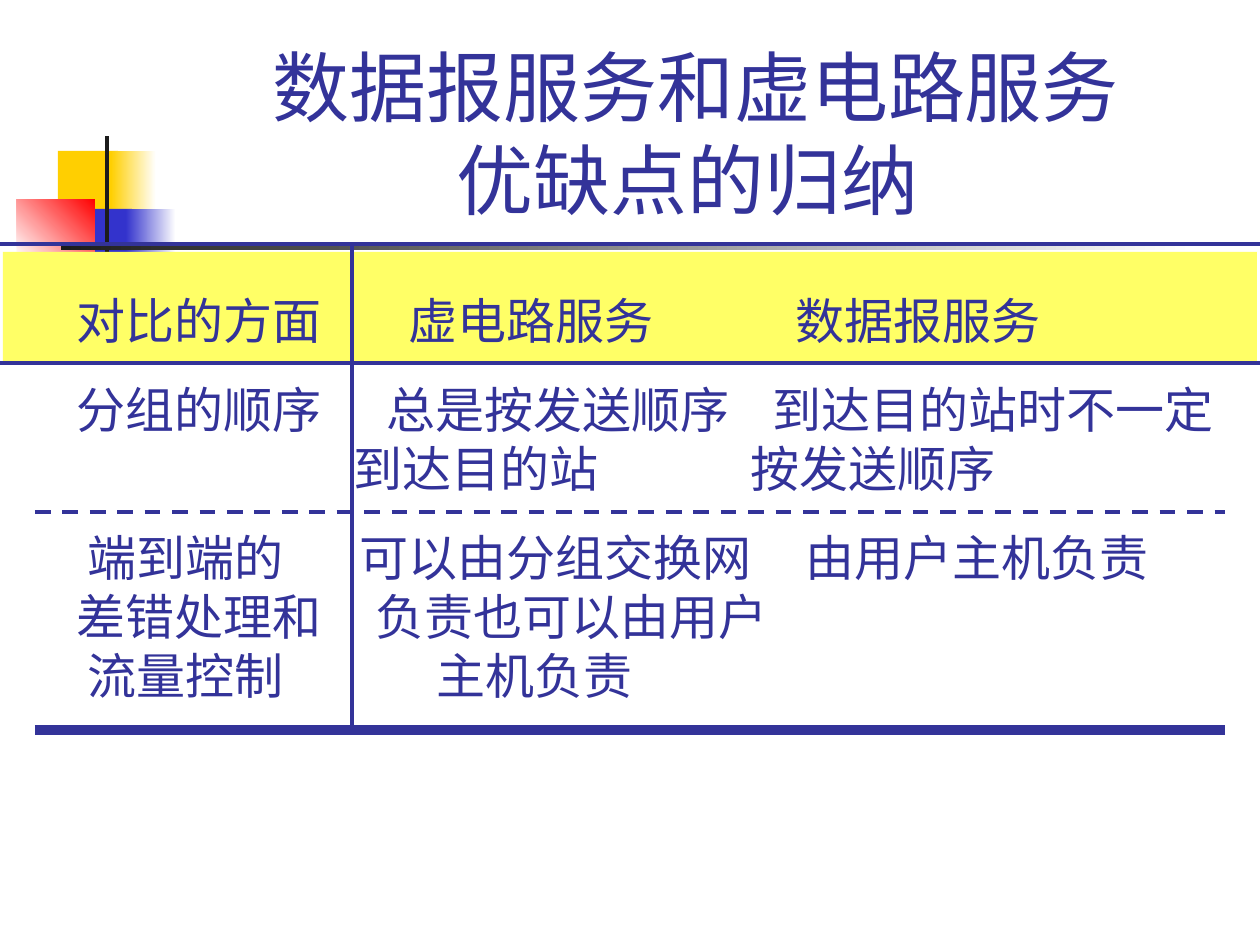
from dataclasses import dataclass

import pptx
import pptx.dml.color
import pptx.enum.dml
import pptx.enum.shapes
import pptx.enum.text
import pptx.oxml.ns
import pptx.util
from lxml import etree

PX = pptx.util.Inches(1) // 126
NAVY, YELLOW, WHITE = "333399", "FFFF66", "FFFFFF"
GOLD, BLUE, RED, BLACK = "FFCF01", "3333CC", "FF0000", "1C1C1C"
TEXT_LEFT = 77
DASH = pptx.enum.dml.MSO_LINE.DASH


@dataclass
class Block:
    left: int
    top: int
    width: int
    height: int
    colors: tuple[str, ...]  # one for a solid fill, two for a gradient
    angle: int = 0


@dataclass
class Rule:
    start: tuple[int, int]
    end: tuple[int, int]
    weight: float = 2.25
    dashed: bool = False


@dataclass
class Line:
    """One line of the comparison: its words and the px where each tab stops."""
    words: str
    stops: tuple[int, ...]
    spacing: float = 1.0
    after: float = 0


BLOCKS = [
    Block(58, 151, 60, 66, (GOLD,)),
    Block(111, 151, 45, 66, (GOLD, WHITE)),
    Block(74, 209, 58, 66, (BLUE,)),
    Block(126, 209, 50, 66, (BLUE, WHITE)),
    Block(17, 199, 78, 58, (WHITE, RED), 45),
    Block(105, 136, 4, 145, (BLACK,)),
    Block(61, 246, 1134, 4, (BLACK, WHITE)),
    Block(3, 252, 1254, 111, (YELLOW,)),
]
RULES = [
    Rule((0, 363), (1260, 363)),
    Rule((0, 244), (1260, 244)),
    Rule((352, 730), (352, 244)),
    Rule((35, 730), (1225, 730), weight=6),
    Rule((35, 512), (1225, 512), dashed=True),
]
LINES = [
    Line("对比的方面\t虚电路服务\t数据报服务", (409, 796), spacing=1.5, after=7),
    Line("分组的顺序\t总是按发送顺序\t到达目的站时不一定", (387, 773), spacing=1.3),
    Line("\t到达目的站\t按发送顺序", (354, 751), after=17.5),
    Line("\t端到端的\t可以由分组交换网\t由用户主机负责", (88, 360, 806)),
    Line("差错处理和\t负责也可以由用户", (376,)),
    Line("\t流量控制\t主机负责", (88, 437)),
]


def rgb(color: str) -> pptx.dml.color.RGBColor:
    return pptx.dml.color.RGBColor.from_string(color)


def set_font(para, name: str, size: int) -> None:
    para.font.name = name
    para.font.size = pptx.util.Pt(size)
    para.font.color.rgb = rgb(NAVY)


def add_block(page, block: Block) -> None:
    shape = page.shapes.add_shape(
        pptx.enum.shapes.MSO_SHAPE.RECTANGLE,
        block.left * PX, block.top * PX, block.width * PX, block.height * PX)
    shape.shadow.inherit = False
    shape.line.fill.background()
    if len(block.colors) == 1:
        shape.fill.solid()
        shape.fill.fore_color.rgb = rgb(block.colors[0])
        return
    shape.fill.gradient()
    shape.fill.gradient_angle = block.angle
    for stop, color in zip(shape.fill.gradient_stops, block.colors):
        stop.color.rgb = rgb(color)


def add_rule(page, rule: Rule) -> None:
    ends = [length * PX for length in rule.start + rule.end]
    line = page.shapes.add_connector(
        pptx.enum.shapes.MSO_CONNECTOR.STRAIGHT, *ends)
    line.line.color.rgb = rgb(NAVY)
    line.line.width = pptx.util.Pt(rule.weight)
    if rule.dashed:
        line.line.dash_style = DASH
    etree.SubElement(line._element.spPr, pptx.oxml.ns.qn("a:effectLst"))


def set_tabs(para, stops: tuple[int, ...]) -> None:
    properties = para._p.get_or_add_pPr()
    tabs = etree.SubElement(properties, pptx.oxml.ns.qn("a:tabLst"))
    for stop in stops:
        etree.SubElement(tabs, pptx.oxml.ns.qn("a:tab"),
                         pos=str((stop - TEXT_LEFT) * PX), algn="l")


def add_title(page) -> None:
    title = page.shapes.title
    title.left, title.top = 159 * PX, 29 * PX
    title.width, title.height = 1074 * PX, 202 * PX
    frame = title.text_frame
    frame.auto_size = pptx.enum.text.MSO_AUTO_SIZE.NONE
    frame.vertical_anchor = pptx.enum.text.MSO_ANCHOR.BOTTOM
    para = frame.paragraphs[0]
    para.text = "数据报服务和虚电路服务\v优缺点的归纳 "
    para.alignment = pptx.enum.text.PP_ALIGN.CENTER
    set_font(para, "Arial", 44)


def add_comparison(page, lines: list[Line]) -> None:
    box = page.shapes.add_textbox(64 * PX, 255 * PX, 1162 * PX, 456 * PX)
    frame = box.text_frame
    frame.word_wrap = True
    frame.margin_left = (TEXT_LEFT - 64) * PX
    frame.margin_right = 0
    for index, line in enumerate(lines):
        para = frame.add_paragraph() if index else frame.paragraphs[0]
        para.text = line.words
        set_tabs(para, line.stops)
        para.line_spacing = line.spacing
        para.space_after = pptx.util.Pt(line.after)
        set_font(para, "Lato", 28)


def main() -> None:
    deck = pptx.Presentation()
    deck.slide_width = pptx.util.Inches(10)
    deck.slide_height = pptx.util.Inches(7.5)
    page = deck.slides.add_slide(deck.slide_layouts.get_by_name("Title Only"))
    add_title(page)
    for block in BLOCKS:
        add_block(page, block)
    add_comparison(page, LINES)
    for rule in RULES:
        add_rule(page, rule)
    deck.save("out.pptx")


if __name__ == "__main__":
    main()
